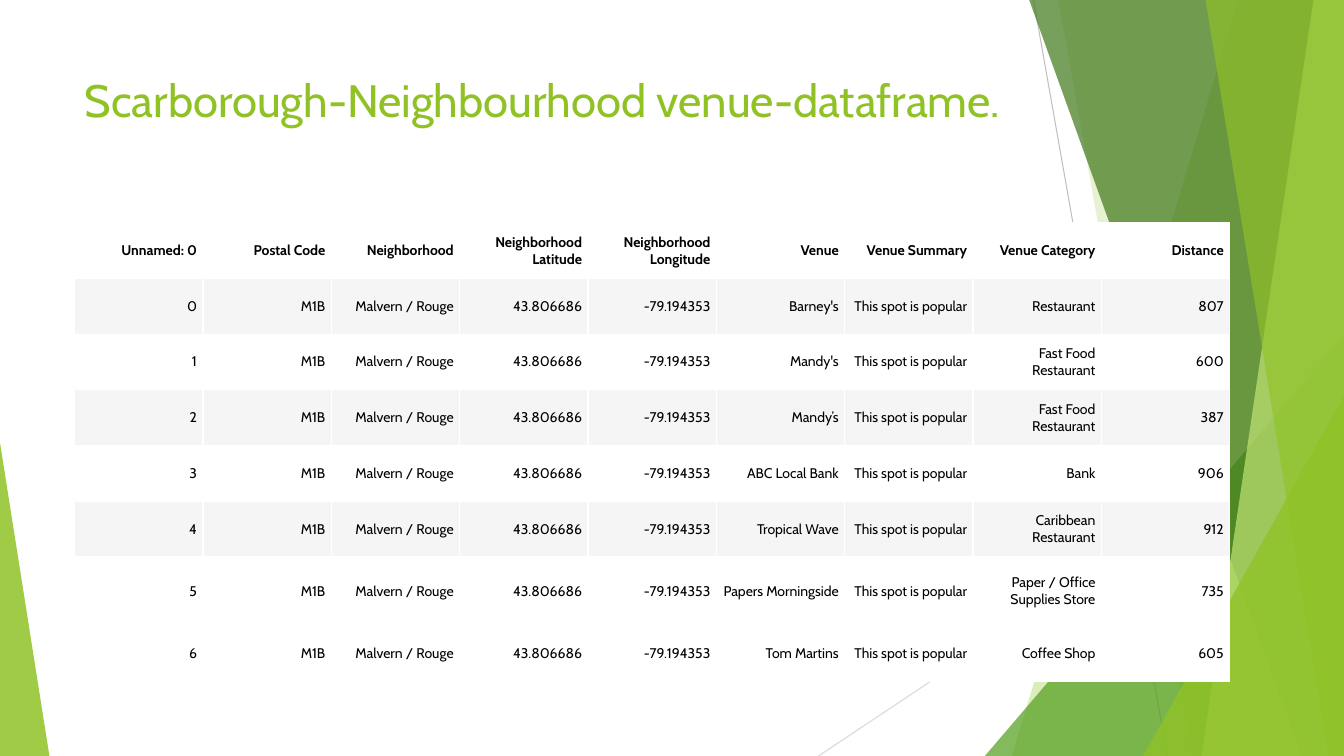
import pptx
import pptx.dml.color
import pptx.enum.shapes
import pptx.enum.text
import pptx.oxml.ns
import pptx.util
from lxml import etree

FONT = "Cabin"
GREEN = "90C226"
SLIDE_W, SLIDE_H = pptx.util.Inches(13.333), pptx.util.Inches(7.5)
LEFT = 5.55
ROW_H, TALL_ROW_H = 7.37, 9.05

HEADERS = ["Unnamed: 0", "Postal Code", "Neighborhood", "Neighborhood Latitude",
           "Neighborhood Longitude", "Venue", "Venue Summary", "Venue Category", "Distance"]
VENUES = [
    ("Barney's", "Restaurant", 807),
    ("Mandy's", "Fast Food Restaurant", 600),
    ("Mandy’s", "Fast Food Restaurant", 387),
    ("ABC Local Bank", "Bank", 906),
    ("Tropical Wave", "Caribbean Restaurant", 912),
    ("Papers Morningside", "Paper / Office Supplies Store", 735),
    ("Tom Martins", "Coffee Shop", 605),
]
# Upper left, upper right, lower right, lower left: percent of slide width
BANDS_BACK = [(92.1, 75.3, GREEN, 30), (78.75, 88.73, GREEN, 20)]
BANDS_FRONT = [(76.58, 96.83, "3F7819", 70), (97.73, 89.4, "C0E474", 70),
               (89.7, 98.85, GREEN, 65)]


def across(percent):
    return round(SLIDE_W * percent / 100)


def down(percent):
    return round(SLIDE_H * percent / 100)


def rgb(code):
    return pptx.dml.color.RGBColor.from_string(code)


def paint(sp, color, opacity):
    """Give a shape a translucent fill with no line or shadow."""
    sp.shadow.inherit = False
    sp.line.fill.background()
    sp.fill.solid()
    sp.fill.fore_color.rgb = rgb(color)
    clr = sp.element.spPr.find(".//" + pptx.oxml.ns.qn("a:srgbClr"))
    etree.SubElement(clr, pptx.oxml.ns.qn("a:alpha"), val=str(opacity * 1000))


def add_hairline(s, x1, y1, x2, y2, color):
    line = s.shapes.add_connector(pptx.enum.shapes.MSO_CONNECTOR.STRAIGHT,
                                  across(x1), down(y1), across(x2), down(y2))
    line.line.color.rgb = rgb(color)
    line.line.width = pptx.util.Pt(0.75)
    etree.SubElement(line.element.spPr, pptx.oxml.ns.qn("a:effectLst"))


def add_band(s, top_x, bottom_x, color, opacity):
    """Fill from a slanted left edge to the right edge of the slide."""
    builder = s.shapes.build_freeform(across(top_x), 0)
    builder.add_line_segments([(SLIDE_W, 0), (SLIDE_W, SLIDE_H), (across(bottom_x), SLIDE_H)])
    paint(builder.convert_to_shape(), color, opacity)


def add_corner(s, x, y, width, apex, color, opacity):
    """Triangle standing on the bottom edge, with its apex at a share of its width."""
    sp = s.shapes.add_shape(pptx.enum.shapes.MSO_SHAPE.ISOSCELES_TRIANGLE,
                            across(x), down(y), across(width), SLIDE_H - down(y))
    sp.adjustments[0] = apex
    paint(sp, color, opacity)


def add_backdrop(s):
    add_hairline(s, 76.9, 0, 86.85, 100, "BFBFBF")
    add_hairline(s, 100, 53.73, 60.9, 100, "D9D9D9")
    for band in BANDS_BACK:
        add_band(s, *band)
    add_corner(s, 73.28, 44.4, 26.72, 1, "54A021", 72)
    for band in BANDS_FRONT:
        add_band(s, *band)
    add_corner(s, 85.05, 52.4, 14.95, 1, GREEN, 80)
    add_corner(s, 0, 58.53, 3.68, 0, GREEN, 85)


def style_paragraph(p, size, color, align, bold=False):
    p.alignment = align
    p.font.name = FONT
    p.font.size = pptx.util.Pt(size)
    p.font.bold = bold
    p.font.color.rgb = rgb(color)


def set_title(s, text):
    title = s.shapes.title
    title.element.getparent().append(title.element)
    title.left, title.top = across(LEFT), down(8.93)
    title.width, title.height = across(70.5), down(7.73)
    tf = title.text_frame
    tf.text = text
    tf.word_wrap = True
    tf.auto_size = pptx.enum.text.MSO_AUTO_SIZE.NONE
    tf.vertical_anchor = pptx.enum.text.MSO_ANCHOR.TOP
    style_paragraph(tf.paragraphs[0], 32.4, GREEN, pptx.enum.text.PP_ALIGN.LEFT)


def fill_cell(cell, text, color, bold):
    cell.fill.solid()
    cell.fill.fore_color.rgb = rgb(color)
    cell.margin_left = cell.margin_right = pptx.util.Inches(0.06)
    cell.margin_top = cell.margin_bottom = pptx.util.Inches(0.03)
    cell.vertical_anchor = pptx.enum.text.MSO_ANCHOR.MIDDLE
    cell.text = text
    style_paragraph(cell.text_frame.paragraphs[0], 10, "000000",
                    pptx.enum.text.PP_ALIGN.RIGHT, bold)


def add_venue_table(s):
    rows = [HEADERS] + [
        [str(i), "M1B", "Malvern / Rouge", "43.806686", "-79.194353",
         venue, "This spot is popular", category, str(distance)]
        for i, (venue, category, distance) in enumerate(VENUES)]
    heights = [ROW_H] * len(rows)
    heights[6] = TALL_ROW_H
    table = s.shapes.add_table(len(rows), len(HEADERS), across(LEFT), down(29.47),
                               across(85.95), down(sum(heights))).table
    table.horz_banding = False
    for r, values in enumerate(rows):
        table.rows[r].height = down(heights[r])
        color = "F5F5F5" if r in (1, 3, 5) else "FFFFFF"
        for c, text in enumerate(values):
            fill_cell(table.cell(r, c), text, color, bold=r == 0)


def main():
    prs = pptx.Presentation()
    prs.slide_width, prs.slide_height = SLIDE_W, SLIDE_H
    s = prs.slides.add_slide(prs.slide_layouts[5])
    add_backdrop(s)
    set_title(s, "Scarborough-Neighbourhood venue-dataframe.")
    add_venue_table(s)
    prs.save("out.pptx")


if __name__ == "__main__":
    main()
